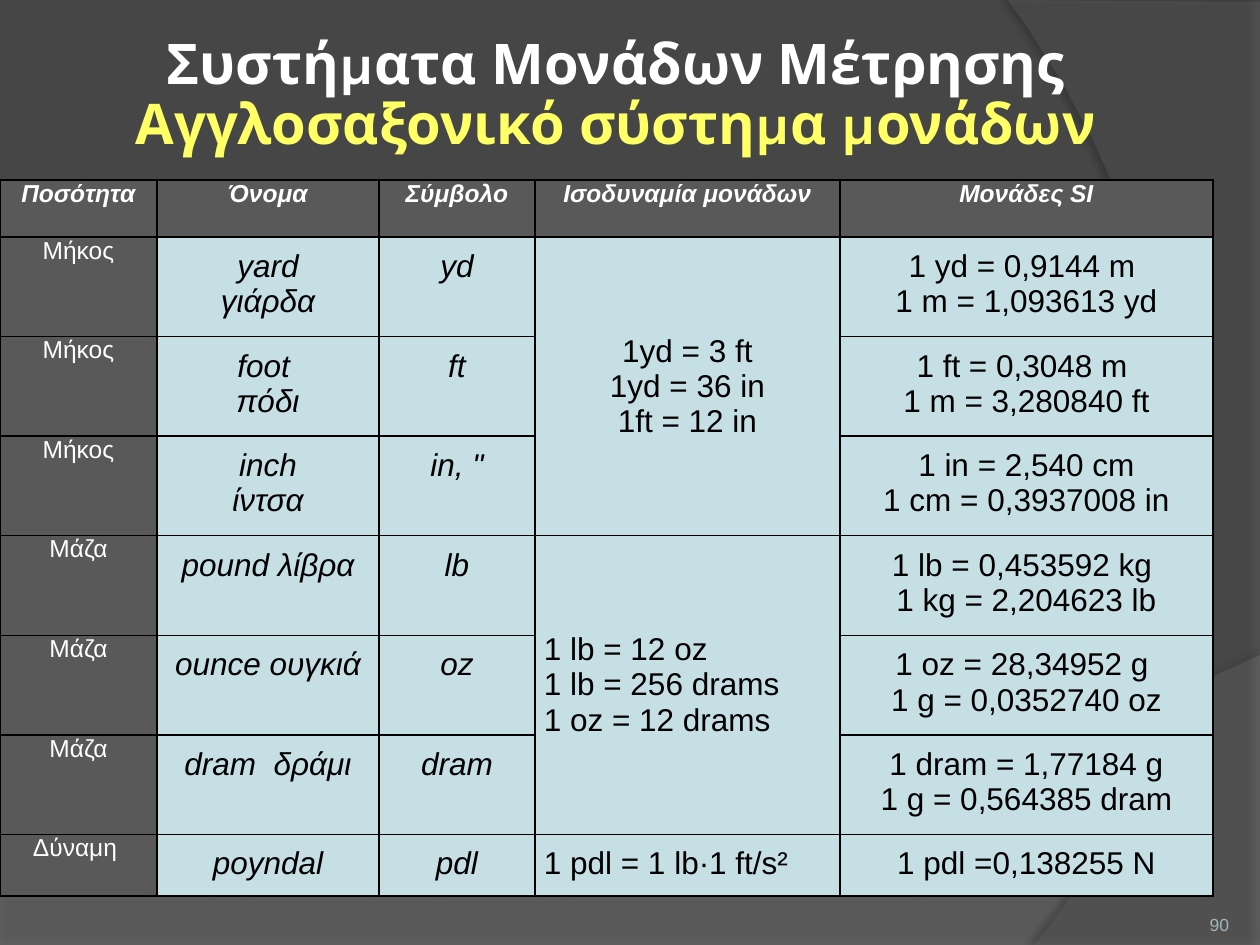
from dataclasses import dataclass

from lxml.etree import SubElement
from pptx import Presentation
from pptx.dml.color import RGBColor
from pptx.enum.text import MSO_ANCHOR as Anchor, MSO_AUTO_SIZE as AutoSize, PP_ALIGN as Align
from pptx.oxml.ns import qn
from pptx.slide import Slide
from pptx.util import Pt

PX = 7257
EMU_PER_POINT = 12700
BACKGROUND = RGBColor(0x46, 0x46, 0x46)
WAVE = RGBColor(0x7F, 0x7F, 0x7F)
CURVE = RGBColor(0x5E, 0x5E, 0x5E)
WHITE = RGBColor(0xFF, 0xFF, 0xFF)
BLACK = RGBColor(0, 0, 0)
YELLOW = RGBColor(0xFF, 0xFF, 0x66)
HEADING = RGBColor(0x59, 0x59, 0x59)
BODY = RGBColor(0xC6, 0xDF, 0xE4)
NUMBER = RGBColor(0xA4, 0xB5, 0xB9)

COLUMN_WIDTHS = [157, 222, 156, 305, 373]
ROW_HEIGHTS = [57] + [96] * 6 + [60]
LENGTHS = "1yd = 3 ft\n1yd = 36 in\n1ft = 12 in"
MASSES = "1 lb = 12 oz\n1 lb = 256 drams\n1 oz = 12 drams"
ROWS = [
    ["Ποσότητα", "Όνομα", "Σύμβολο", "Ισοδυναμία μονάδων", "Μονάδες SI"],
    ["Μήκος", "yard\nγιάρδα", "yd", LENGTHS, "1 yd = 0,9144 m \n1 m = 1,093613 yd"],
    ["Μήκος", "foot \nπόδι", "ft", "", "1 ft = 0,3048 m \n1 m = 3,280840 ft"],
    ["Μήκος", "inch\nίντσα", "in, \"", "", "1 in = 2,540 cm\n1 cm = 0,3937008 in"],
    ["Μάζα", "pound λίβρα", "lb", MASSES, "1 lb = 0,453592 kg \n1 kg = 2,204623 lb"],
    ["Μάζα", "ounce ουγκιά", "oz", "", "1 oz = 28,34952 g \n1 g = 0,0352740 oz"],
    ["Μάζα", "dram  δράμι", "dram", "", "1 dram = 1,77184 g\n1 g = 0,564385 dram"],
    ["Δύναμη ", "poyndal", "pdl", "1 pdl = 1 lb·1 ft/s²", "1 pdl =0,138255 Ν"],
]
EQUIVALENCE = 3
MERGES = [(1, 3), (4, 6)]


def bezier(start, control_a, control_b, end, steps=40):
    """Return whole-pixel points along a cubic curve."""
    points = []
    for step in range(steps + 1):
        t = step / steps
        weights = ((1 - t) ** 3, 3 * t * (1 - t) ** 2, 3 * t * t * (1 - t), t ** 3)
        points.append(tuple(
            round(sum(w * v for w, v in zip(weights, values)))
            for values in zip(start, control_a, control_b, end)))
    return points


@dataclass
class SlideBuilder:
    """Hold the text style and the current slide."""
    slide: Slide
    font_name: str = "Arial"
    title_font: str = "Karla"

    def style(self, font, size, color, bold=False, italic=False, name=None):
        """Format a font."""
        font.name = name or self.font_name
        font.size = Pt(size)
        font.color.rgb = color
        font.bold = bold
        font.italic = italic

    def place(self, shape, left, top, width, height):
        """Move and size a shape."""
        shape.left, shape.top = left * PX, top * PX
        shape.width, shape.height = width * PX, height * PX

    def backdrop(self, points, color, opacity, shadow_opacity, distance, direction):
        """Draw a translucent outline with a soft shadow."""
        builder = self.slide.shapes.build_freeform(*points[0], scale=PX)
        builder.add_line_segments(points[1:], close=True)
        shape = builder.convert_to_shape()
        shape.fill.solid()
        shape.fill.fore_color.rgb = color
        shape.line.fill.background()
        shape.shadow.inherit = False
        properties = shape.element.spPr
        fill_color = properties.find(qn("a:solidFill")).find(qn("a:srgbClr"))
        SubElement(fill_color, qn("a:alpha"), val=str(opacity * 1000))
        shadow = SubElement(
            properties.find(qn("a:effectLst")), qn("a:outerShdw"),
            blurRad=str(4 * EMU_PER_POINT), dist=str(int(distance * EMU_PER_POINT)),
            dir=str(direction * 60000), algn="ctr", rotWithShape="0")
        shadow_color = SubElement(shadow, qn("a:srgbClr"), val=str(BLACK))
        SubElement(shadow_color, qn("a:alpha"), val=str(shadow_opacity * 1000))

    def title(self, lines, colors, *box):
        """Fill the title placeholder and bring it to the front."""
        shape = self.slide.shapes.title
        self.place(shape, *box)
        frame = shape.text_frame
        frame.auto_size = AutoSize.NONE
        frame.vertical_anchor = Anchor.MIDDLE
        frame.margin_left = frame.margin_right = 6 * PX
        frame.margin_top = frame.margin_bottom = 6 * PX
        paragraph = frame.paragraphs[0]
        paragraph.text = "\v".join(lines)
        paragraph.alignment = Align.CENTER
        paragraph.line_spacing = 0.9
        for run, color in zip(paragraph.runs, colors):
            self.style(run.font, 32, color, bold=True, name=self.title_font)
        shape.element.getparent().append(shape.element)

    def page_number(self, text, *box):
        """Add the page number."""
        shape = self.slide.shapes.add_textbox(0, 0, 0, 0)
        self.place(shape, *box)
        frame = shape.text_frame
        frame.word_wrap = True
        frame.vertical_anchor = Anchor.BOTTOM
        frame.margin_left = frame.margin_right = frame.margin_top = frame.margin_bottom = 0
        frame.text = text
        frame.paragraphs[0].alignment = Align.RIGHT
        self.style(frame.paragraphs[0].runs[0].font, 10, NUMBER)

    def border(self, cell):
        """Draw a thin black line on every side of a cell."""
        properties = cell._tc.get_or_add_tcPr()
        for side in ("lnL", "lnR", "lnT", "lnB"):
            line = SubElement(properties, qn(f"a:{side}"), w=str(EMU_PER_POINT))
            fill = SubElement(line, qn("a:solidFill"))
            SubElement(fill, qn("a:srgbClr"), val=str(BLACK))

    def cell(self, cell, text, row, column):
        """Write and format one table cell."""
        heading = row == 0 or column == 0
        self.border(cell)
        cell.fill.solid()
        cell.fill.fore_color.rgb = HEADING if heading else BODY
        cell.margin_left = cell.margin_right = 9 * PX
        cell.margin_top = cell.margin_bottom = 0 if heading else 12 * PX
        cell.vertical_anchor = Anchor.MIDDLE if cell.is_merge_origin else Anchor.TOP
        cell.text_frame.text = text
        justified = column == EQUIVALENCE and row >= MERGES[1][0]
        for paragraph in cell.text_frame.paragraphs:
            paragraph.alignment = Align.JUSTIFY if justified else Align.CENTER
            for run in paragraph.runs:
                self.style(run.font, 14 if heading else 18, WHITE if heading else BLACK,
                           bold=row == 0, italic=row == 0 or column in (1, 2))

    def table(self, left, top):
        """Add the table of units."""
        shape = self.slide.shapes.add_table(
            len(ROWS), len(COLUMN_WIDTHS), left * PX, top * PX,
            sum(COLUMN_WIDTHS) * PX, sum(ROW_HEIGHTS) * PX)
        table = shape.table
        table.horz_banding = False
        for column, width in zip(table.columns, COLUMN_WIDTHS):
            column.width = width * PX
        for row, height in zip(table.rows, ROW_HEIGHTS):
            row.height = height * PX
        for first, last in MERGES:
            table.cell(first, EQUIVALENCE).merge(table.cell(last, EQUIVALENCE))
        for row, texts in enumerate(ROWS):
            for column, text in enumerate(texts):
                self.cell(table.cell(row, column), text, row, column)


def main():
    """Build the slide of Anglo-Saxon units."""
    presentation = Presentation()
    presentation.slide_width, presentation.slide_height = 1260 * PX, 945 * PX
    slide = presentation.slides.add_slide(presentation.slide_layouts[5])
    slide.background.fill.solid()
    slide.background.fill.fore_color.rgb = BACKGROUND
    builder = SlideBuilder(slide)
    wave = [(0, 945), (1260, 945)] + bezier((1260, 655), (704, 919), (493, 906), (0, 888))
    curve = [(1260, 2), (1260, 945)] + bezier((1034, 945), (1178, 780), (1283, 378), (1008, 0))
    builder.backdrop(wave, WAVE, 45, 35, 3.5, 270)
    builder.backdrop(curve, CURVE, 40, 45, 4, 180)
    builder.title(["Συστήματα Μονάδων Μέτρησης", "Αγγλοσαξονικό σύστημα μονάδων"],
                  [WHITE, YELLOW], 42, 63, 1148, 67)
    builder.page_number("90", 1124, 885, 105, 50)
    builder.table(0, 180)
    presentation.save("out.pptx")


if __name__ == "__main__":
    main()
